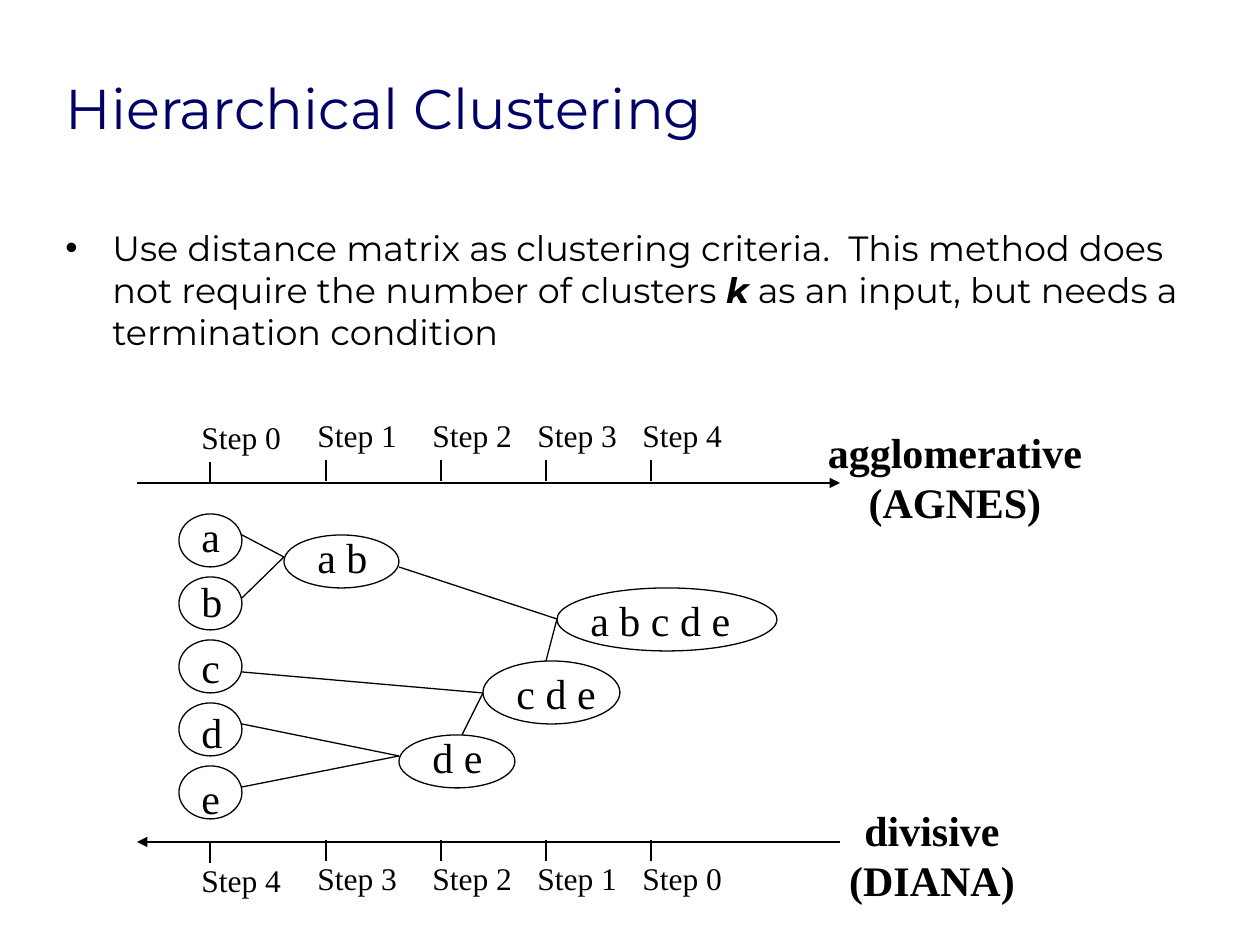
from lxml import etree
from pptx import Presentation
from pptx.dml.color import RGBColor
from pptx.enum.shapes import MSO_CONNECTOR, MSO_SHAPE
from pptx.enum.text import MSO_ANCHOR, MSO_AUTO_SIZE, PP_ALIGN
from pptx.oxml.ns import qn
from pptx.util import Pt

LEFT, CENTER = PP_ALIGN.LEFT, PP_ALIGN.CENTER
GROW, FIXED = MSO_AUTO_SIZE.SHAPE_TO_FIT_TEXT, MSO_AUTO_SIZE.NONE
PX = 914400 // 126
COLORS = {"title": "000066", "ink": "000000"}
SANS, SERIF = "Montserrat", "Times New Roman"

TITLE = "Hierarchical Clustering"
BODY = [
    ("Use distance matrix as clustering criteria.  This method does "
     "not require the number of clusters ", False),
    ("k", True),
    (" as an input, but needs a termination condition", False),
]
STEPS = ["Step 0", "Step 1", "Step 2", "Step 3", "Step 4"]
TICKS = [210, 326, 441, 546, 651]
# axis y, arrow end, step names, tick top, label top
AXES = [
    (483, "tailEnd", STEPS, 460, 410),
    (842, "headEnd", STEPS[::-1], 840, 853),
]
AXIS_X = (137, 840)
LEAVES = "abcde"
# text, ellipse box, text left and top, text width
MERGED = [
    ("a b", (284, 535, 115, 53), (305, 525), 76),
    ("d e", (399, 735, 116, 53), (420, 725), 76),
    ("c d e", (483, 661, 137, 63), (504, 661), 105),
    ("a b c d e", (557, 588, 220, 63), (578, 588), 165),
]
LINKS = [
    (242, 535, 284, 557), (242, 598, 284, 557),
    (242, 724, 399, 756), (242, 787, 399, 756),
    (242, 672, 483, 693), (462, 735, 483, 693),
    (399, 567, 557, 619), (546, 661, 557, 619),
]
METHODS = [
    (["agglomerative", "(AGNES)"], (805, 420, 300, 113)),
    (["divisive", "(DIANA)"], (822, 798, 220, 113)),
]


def rgb(key):
    return RGBColor.from_string(COLORS[key])


def style(font, size, name, color="ink", bold=False):
    font.size, font.name, font.bold = Pt(size), name, bold
    font.color.rgb = rgb(color)


def emu(box):
    return [v * PX for v in box]


def add_text(slide, lines, box, size, align=LEFT, bold=False, wrap=False):
    frame = slide.shapes.add_textbox(*emu(box)).text_frame
    frame.word_wrap, frame.auto_size = wrap, GROW
    frame.text = "\n".join(lines)
    for para in frame.paragraphs:
        para.alignment = align
        style(para.font, size, SERIF, bold=bold)


def add_line(slide, ends, width=0.75, arrow=None):
    line = slide.shapes.add_connector(MSO_CONNECTOR.STRAIGHT, *emu(ends))
    line.line.width = Pt(width)
    line.line.color.rgb = rgb("ink")
    if arrow:
        etree.SubElement(line.line._get_or_add_ln(), qn("a:" + arrow),
                         type="triangle")
    etree.SubElement(line._element.spPr, qn("a:effectLst"))


def add_oval(slide, box):
    oval = slide.shapes.add_shape(MSO_SHAPE.OVAL, *emu(box))
    oval.shadow.inherit = False
    oval.fill.background()
    oval.line.width = Pt(0.75)
    oval.line.color.rgb = rgb("ink")


def add_title(slide):
    title = slide.shapes.title
    title.left, title.top, title.width, title.height = emu((53, 81, 1111, 53))
    frame = title.text_frame
    frame.text = TITLE
    frame.auto_size, frame.vertical_anchor = FIXED, MSO_ANCHOR.MIDDLE
    para = frame.paragraphs[0]
    para.alignment = LEFT
    style(para.font, 32, SANS, "title")


def add_body(slide):
    frame = slide.shapes.add_textbox(*emu((53, 220, 1144, 672))).text_frame
    frame.word_wrap, frame.auto_size = True, FIXED
    para = frame.paragraphs[0]
    props = para._p.get_or_add_pPr()
    props.set("marL", str(47 * PX))
    props.set("indent", str(-47 * PX))
    etree.SubElement(props, qn("a:buFont"), typeface="Arial")
    etree.SubElement(props, qn("a:buChar"), char="•")
    style(para.font, 20, SANS)
    for text, strong in BODY:
        run = para.add_run()
        run.text = text
        if strong:
            run.font.bold = run.font.italic = True


def add_axes(slide):
    for y, arrow, names, tick, label in AXES:
        add_line(slide, (AXIS_X[0], y, AXIS_X[1], y), 1.5, arrow)
        for i, (x, name) in enumerate(zip(TICKS, names)):
            drop = 0 if i else 2
            add_line(slide, (x, tick + drop, x, tick + drop + 21))
            add_text(slide, [name], (x - 21, label + drop, 105, 50), 18,
                     wrap=True)


def add_tree(slide):
    for i, name in enumerate(LEAVES):
        add_text(slide, [name], (189, 504 + 131 * i // 2, 45, 63), 24)
        add_oval(slide, (179, 514 + 63 * i, 63, 53))
    for name, oval, spot, width in MERGED:
        add_text(slide, [name], (*spot, width, 63), 24)
        add_oval(slide, oval)
    for ends in LINKS:
        add_line(slide, ends)


def main():
    deck = Presentation()
    deck.slide_width, deck.slide_height = emu((1260, 945))
    slide = deck.slides.add_slide(deck.slide_layouts[5])
    add_title(slide)
    add_body(slide)
    add_axes(slide)
    add_tree(slide)
    for lines, box in METHODS:
        add_text(slide, lines, box, 24, CENTER, bold=True)
    deck.save("out.pptx")


if __name__ == "__main__":
    main()
